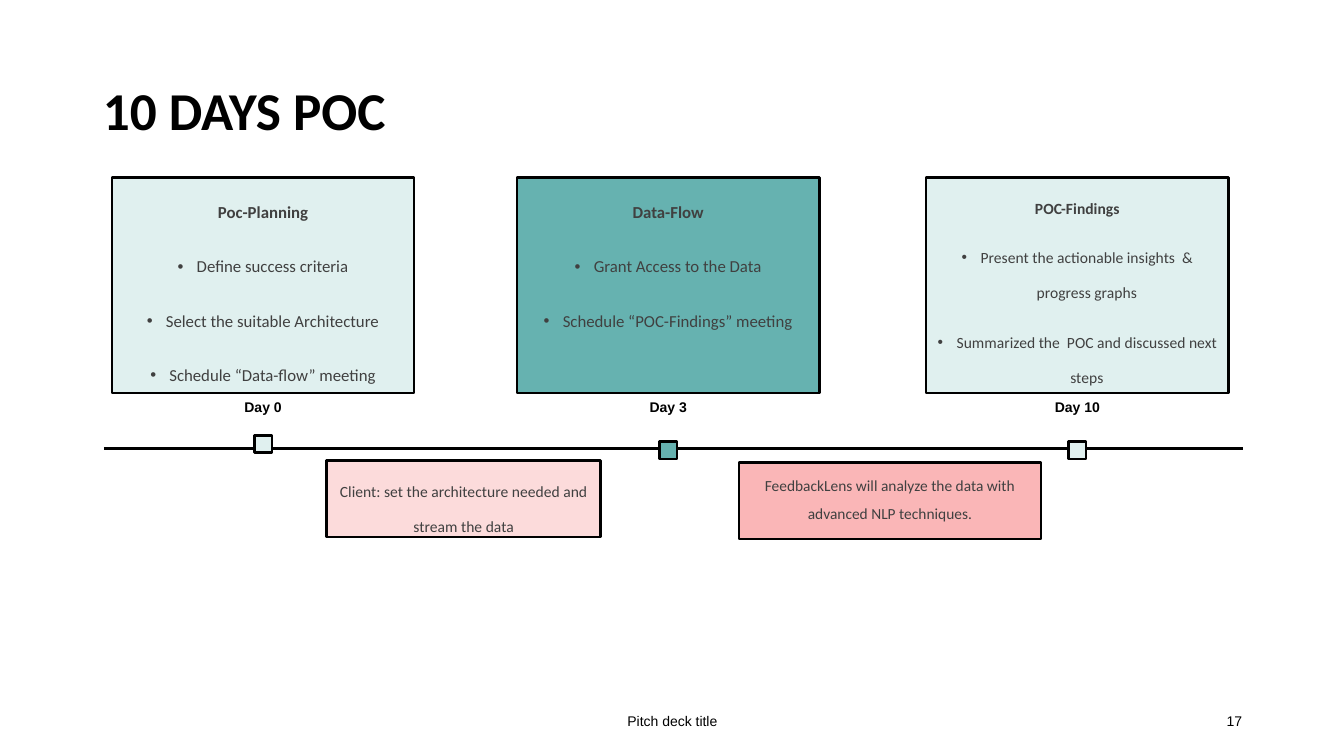
from lxml.etree import SubElement as Sub
from pptx import Presentation
from pptx.dml.color import RGBColor
from pptx.enum.shapes import MSO_CONNECTOR as Link, MSO_SHAPE as Form
from pptx.enum.text import MSO_ANCHOR as Anchor, PP_ALIGN as Align
from pptx.oxml.ns import qn
from pptx.util import Cm, Pt

BLACK = RGBColor(0x00, 0x00, 0x00)
GREY = RGBColor(0x40, 0x40, 0x40)
MINT = RGBColor(0xE0, 0xF0, 0xEF)
TEAL = RGBColor(0x66, 0xB2, 0xB0)
BLUSH = RGBColor(0xFC, 0xDB, 0xDB)
PINK = RGBColor(0xFA, 0xB6, 0xB7)

STAGES = [
    (6.63, 10.97, MINT, "Day 0", 12, 2, "Poc-Planning",
     ["Define success criteria", "Select the suitable Architecture",
      "Schedule “Data-flow” meeting"]),
    (16.84, 11.13, TEAL, "Day 3", 12, 2, "Data-Flow",
     ["Grant Access to the Data", "Schedule “POC-Findings” meeting"]),
    (27.15, 11.13, MINT, "Day 10", 11.1, 1.9, "POC-Findings",
     ["Present the actionable insights  & progress graphs",
      "Summarized the  POC and discussed next steps"]),
]
NOTES = [
    ((8.23, 11.61, 6.91, 1.93), BLUSH, 11.1, 1.9,
     "Client: set the architecture needed and stream the data"),
    ((18.62, 11.66, 7.62, 1.93), PINK, 11, 1.5,
     "FeedbackLens will analyze the data with advanced NLP techniques."),
]


def style(para, size, font, color, bold=False, align=Align.CENTER, gap=1):
    """Format a paragraph and its runs."""
    para.alignment = align
    para.line_spacing = gap
    for run in para.runs:
        run.font.size = Pt(size)
        run.font.name = font
        run.font.bold = bold
        run.font.color.rgb = color


def bullet(para):
    """Give a paragraph a hanging round bullet."""
    props = para._p.get_or_add_pPr()
    props.set("marL", str(Cm(0.48)))
    props.set("indent", str(-Cm(0.48)))
    Sub(props, qn("a:buFont")).set("typeface", "Arial")
    Sub(props, qn("a:buChar")).set("char", "•")


def add_box(slide, place, fill):
    """Draw a filled rectangle with a black outline."""
    box = slide.shapes.add_shape(Form.RECTANGLE, *map(Cm, place))
    box.shadow.inherit = False
    box.fill.solid()
    box.fill.fore_color.rgb = fill
    box.line.color.rgb = BLACK
    box.line.width = Pt(1.75)
    return box


def add_card(slide, place, fill, size, gap, lines, head=False):
    """Draw a box of text, with bullets under an optional heading."""
    frame = add_box(slide, place, fill).text_frame
    frame.word_wrap = True
    frame.vertical_anchor = Anchor.TOP
    frame.margin_top = Cm(0.11)
    frame.text = "\n".join(lines)
    for i, para in enumerate(frame.paragraphs):
        style(para, size, "Calibri", GREY, head and i == 0, gap=gap)
        para.space_before = Pt(10)
        if i:
            bullet(para)


def add_label(slide, place, text, align=Align.CENTER, bold=False,
              anchor=Anchor.MIDDLE, gap=1):
    """Write one small line of text."""
    frame = slide.shapes.add_textbox(*map(Cm, place)).text_frame
    frame.word_wrap = True
    frame.vertical_anchor = anchor
    frame.text = text
    style(frame.paragraphs[0], 10, "Arial", BLACK, bold, align, gap)


def add_axis(slide):
    """Draw the line of time."""
    axis = slide.shapes.add_connector(
        Link.STRAIGHT, Cm(2.62), Cm(11.3), Cm(31.32), Cm(11.3))
    axis.line.color.rgb = BLACK
    axis.line.width = Pt(2)
    Sub(axis._element.spPr, qn("a:effectLst"))


def set_title(slide, text):
    """Place and format the title."""
    title = slide.shapes.title
    title.left, title.top = Cm(2.34), Cm(1.02)
    title.width, title.height = Cm(29.21), Cm(3.68)
    frame = title.text_frame
    frame.text = text
    frame.vertical_anchor = Anchor.MIDDLE
    style(frame.paragraphs[0], 38, "Calibri", BLACK, True, Align.LEFT, 0.9)


def add_stage(slide, mid, top, fill, day, size, gap, head, items):
    """Draw a stage card with its day and marker, centred on mid."""
    add_card(slide, (mid - 3.81, 4.47, 7.62, 5.44), fill, size, gap,
             [head, *items], head=True)
    add_label(slide, (mid - 0.89, 9.96, 1.78, 0.76), day, bold=True,
              anchor=Anchor.TOP, gap=0.9)
    add_box(slide, (mid - 0.22, top, 0.44, 0.44), fill)


def main():
    """Build the slide and save it."""
    deck = Presentation()
    deck.slide_width, deck.slide_height = Cm(33.87), Cm(19.05)
    slide = deck.slides.add_slide(deck.slide_layouts[5])
    set_title(slide, "10 DAYS POC")
    add_axis(slide)
    for stage in STAGES:
        add_stage(slide, *stage)
    for place, fill, size, gap, text in NOTES:
        add_card(slide, place, fill, size, gap, [text])
    add_label(slide, (11.23, 17.65, 11.43, 1.02), "Pitch deck title")
    add_label(slide, (23.93, 17.65, 7.62, 1.02), "17", Align.RIGHT)
    deck.save("out.pptx")


if __name__ == "__main__":
    main()
